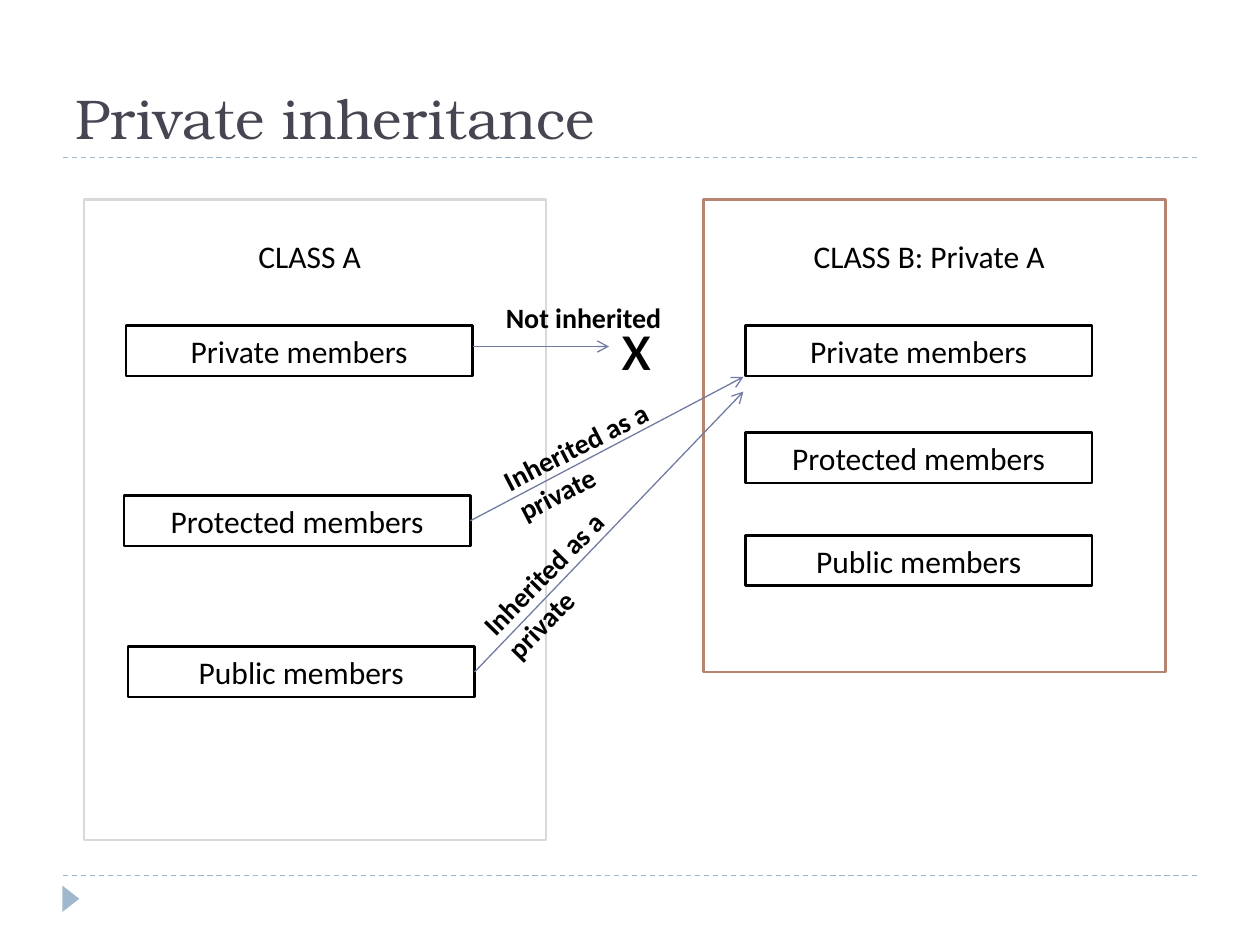
"""Build a slide showing how private inheritance maps class members."""
from dataclasses import dataclass
from typing import Optional

import pptx
import pptx.dml.color
import pptx.enum.dml
import pptx.enum.shapes
import pptx.enum.text
import pptx.oxml
import pptx.oxml.ns
import pptx.util
from lxml import etree

COLUMNS, ROWS = 120, 90
SLIDE_WIDTH, SLIDE_HEIGHT = pptx.util.Inches(10), pptx.util.Inches(7.5)
BODY_FONT, TITLE_FONT = "Calibri", "TeX Gyre Bonum"
BOX_WIDTH, BOX_HEIGHT = 33, 4.8
PANEL_TOP, HEADING_TOP = 19, 22
COLORS = {
    "title": "464653", "text": "000000", "paper": "FFFFFF", "rule": "9FB8CD",
    "arrow": "727CA3", "base": "D9D9D9", "derived": "B88472",
}
CENTER = pptx.enum.text.PP_ALIGN.CENTER
LEFT = pptx.enum.text.PP_ALIGN.LEFT
SHAPES = pptx.enum.shapes.MSO_SHAPE


@dataclass
class Member:
    name: str
    column: float
    row: float


@dataclass
class ClassPanel:
    heading: str
    column: float
    heading_column: float
    height: float
    color: str
    members: list[Member]


@dataclass
class Label:
    text: str
    column: float
    row: float
    width: float
    height: float
    size: float = 16
    bold: bool = True
    rotation: float = 0
    alignment: pptx.enum.text.PP_ALIGN = LEFT


@dataclass
class Arrow:
    start: tuple[float, float]
    end: tuple[float, float]
    source: Optional[str] = None


PANELS = [
    ClassPanel("CLASS A", 8, 12, 61, "base", [
        Member("Private members", 12, 31),
        Member("Protected members", 11.8, 47.2),
        Member("Public members", 12.2, 61.6),
    ]),
    ClassPanel("CLASS B: Private A", 67, 71, 45, "derived", [
        Member("Private members", 71, 31),
        Member("Protected members", 71, 41.2),
        Member("Public members", 71, 51),
    ]),
]
ARROWS = [
    Arrow((44.8, 49.6), (70.8, 35.9), "Protected members"),
    Arrow((45.2, 64), (70.8, 37.3), "Public members"),
    Arrow((45, 33), (58, 33)),
]
LABELS = [
    Label("x", 58, 28, 9, 9.2, size=40, bold=False),
    Label("Not inherited", 47, 28, 20, 4.4),
    Label("Inherited as a private", 46.7, 39.5, 20, 7.7, rotation=332.7),
    Label("Inherited as a private", 43.8, 51, 20, 7.7, rotation=314.4),
]


def x(columns: float) -> int:
    """Convert grid columns to a length."""
    return round(SLIDE_WIDTH * columns / COLUMNS)


def y(rows: float) -> int:
    """Convert grid rows to a length."""
    return round(SLIDE_HEIGHT * rows / ROWS)


def rgb(name: str) -> pptx.dml.color.RGBColor:
    """Look up a named colour."""
    return pptx.dml.color.RGBColor.from_string(COLORS[name])


def write(shape, text: str, size: float, font: str = BODY_FONT, color: str = "text",
          bold: bool = False, alignment=CENTER) -> None:
    """Put one formatted run into a shape."""
    shape.text_frame.word_wrap = True
    paragraph = shape.text_frame.paragraphs[0]
    paragraph.alignment = alignment
    run = paragraph.add_run()
    run.text = text
    run.font.name, run.font.size, run.font.bold = font, pptx.util.Pt(size), bold
    run.font.color.rgb = rgb(color)


def add_block(slide, kind, column: float, row: float, width: float, height: float,
              fill: str, line: Optional[str] = None):
    """Add a flat preset shape on the grid."""
    shape = slide.shapes.add_shape(kind, x(column), y(row), x(width), y(height))
    shape.shadow.inherit = False
    shape.fill.solid()
    shape.fill.fore_color.rgb = rgb(fill)
    if line:
        shape.line.color.rgb = rgb(line)
        shape.line.width = pptx.util.Pt(1.5)
    else:
        shape.line.fill.background()
    return shape


def add_line(slide, start: tuple[float, float], end: tuple[float, float], color: str):
    """Add a thin straight connector without a shadow."""
    connector = slide.shapes.add_connector(
        pptx.enum.shapes.MSO_CONNECTOR.STRAIGHT, x(start[0]), y(start[1]), x(end[0]), y(end[1]))
    connector.line.color.rgb = rgb(color)
    connector.line.width = pptx.util.Pt(0.75)
    etree.SubElement(connector._element.spPr, pptx.oxml.ns.qn("a:effectLst"))
    return connector


def add_rule(slide, row: float) -> None:
    """Add a dashed rule across the slide."""
    rule = add_line(slide, (6, row), (114, row), "rule")
    rule.line.dash_style = pptx.enum.dml.MSO_LINE.DASH


def add_label(slide, label: Label) -> None:
    """Add a text box, turned if asked."""
    box = slide.shapes.add_textbox(x(label.column), y(label.row), x(label.width), y(label.height))
    box.rotation = label.rotation
    write(box, label.text, label.size, bold=label.bold, alignment=label.alignment)
    box.text_frame.auto_size = pptx.enum.text.MSO_AUTO_SIZE.SHAPE_TO_FIT_TEXT


def add_panel(slide, panel: ClassPanel) -> dict:
    """Draw a class with its members and return the member boxes by name."""
    add_block(slide, SHAPES.RECTANGLE, panel.column, PANEL_TOP, 44, panel.height,
              "paper", panel.color)
    boxes = {}
    for member in panel.members:
        box = add_block(slide, SHAPES.RECTANGLE, member.column, member.row,
                        BOX_WIDTH, BOX_HEIGHT, "paper", "text")
        write(box, member.name, 18)
        boxes[member.name] = box
    add_label(slide, Label(panel.heading, panel.heading_column, HEADING_TOP, 35, BOX_HEIGHT,
                           size=18, bold=False, alignment=CENTER))
    return boxes


def add_arrow(slide, arrow: Arrow, boxes: dict) -> None:
    """Draw an arrow, joined to the right side of its source box if it has one."""
    connector = add_line(slide, arrow.start, arrow.end, "arrow")
    if arrow.source:
        connector.begin_connect(boxes[arrow.source], 3)
    etree.SubElement(connector.line._get_or_add_ln(), pptx.oxml.ns.qn("a:tailEnd"), type="arrow")


def main() -> None:
    """Build and save the presentation."""
    presentation = pptx.Presentation()
    presentation.slide_width, presentation.slide_height = SLIDE_WIDTH, SLIDE_HEIGHT
    slide = presentation.slides.add_slide(presentation.slide_layouts[5])
    for row in (83.4, 15):
        add_rule(slide, row)
    add_block(slide, SHAPES.ISOSCELES_TRIANGLE, 5.5, 84.8, 2.5, 1.6, "rule").rotation = 90
    title = slide.shapes.title
    title.left, title.top, title.width, title.height = x(6), y(3), x(108), y(12)
    title.text_frame.vertical_anchor = pptx.enum.text.MSO_ANCHOR.BOTTOM
    write(title, "Private inheritance", 32, TITLE_FONT, "title", alignment=LEFT)
    base_boxes, _ = [add_panel(slide, panel) for panel in PANELS]
    for arrow in ARROWS:
        add_arrow(slide, arrow, base_boxes)
    for label in LABELS:
        add_label(slide, label)
    presentation.save("out.pptx")


if __name__ == "__main__":
    main()
